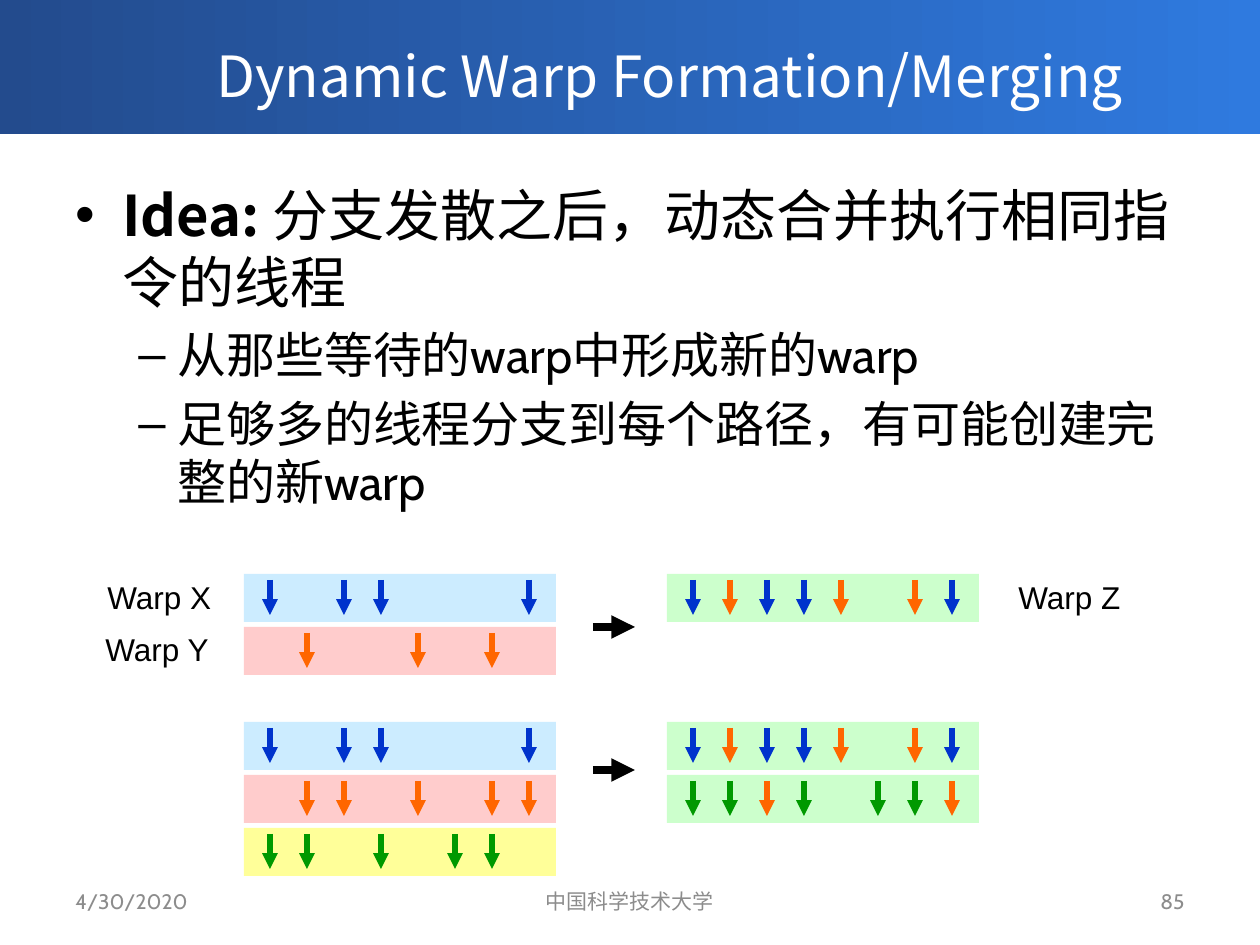
from lxml import etree
from pptx import Presentation
from pptx.dml.color import RGBColor
from pptx.enum.shapes import MSO_CONNECTOR as Connector, MSO_SHAPE as Shape
from pptx.enum.text import MSO_ANCHOR as Anchor, PP_ALIGN as Align
from pptx.oxml.ns import qn
from pptx.util import Pt

EMU_PER_PX = 914400 / 126

BLACK = RGBColor(0x00, 0x00, 0x00)
WHITE = RGBColor(0xFF, 0xFF, 0xFF)
GRAY = RGBColor(0x8C, 0x8C, 0x8C)
NAVY = RGBColor(0x23, 0x4B, 0x8D)
AZURE = RGBColor(0x2F, 0x7A, 0xDF)
BLUE = RGBColor(0x00, 0x33, 0xCC)
ORANGE = RGBColor(0xFF, 0x66, 0x00)
GREEN = RGBColor(0x00, 0x99, 0x00)
PALE_BLUE = RGBColor(0xCC, 0xEC, 0xFF)
PALE_RED = RGBColor(0xFF, 0xCC, 0xCC)
PALE_GREEN = RGBColor(0xCC, 0xFF, 0xCC)
PALE_YELLOW = RGBColor(0xFF, 0xFF, 0x99)

NOTO, CABIN, ARIAL = "Noto Sans CJK SC", "Cabin", "Arial"
THREADS = {"B": BLUE, "O": ORANGE, "G": GREEN}
LEFT_X, RIGHT_X = 244, 667
LANE_W, LANE_H, LANE_PITCH = 312, 48, 53
FIRST_SLOT, SLOT_PITCH = 26, 37


def px(length):
    return round(length * EMU_PER_PX)


class Painter:
    def __init__(self, page):
        self.page = page

    def rect(self, x, y, w, h, color, end_color=None):
        """A borderless rectangle, shaded left to right if end_color is given."""
        shape = self.page.shapes.add_shape(Shape.RECTANGLE, px(x), px(y), px(w), px(h))
        shape.shadow.inherit = False
        shape.line.fill.background()
        if end_color is None:
            shape.fill.solid()
            shape.fill.fore_color.rgb = color
            return
        shape.fill.gradient()
        shape.fill.gradient_angle = 0
        for stop, shade in zip(shape.fill.gradient_stops, (color, end_color)):
            stop.color.rgb = shade

    def arrow(self, x, y, dx, dy, color, width):
        line = self.page.shapes.add_connector(
            Connector.STRAIGHT, px(x), px(y), px(x + dx), px(y + dy))
        line.line.color.rgb = color
        line.line.width = Pt(width)
        etree.SubElement(line.line._get_or_add_ln(), qn("a:tailEnd"), type="triangle")
        etree.SubElement(line._element.spPr, qn("a:effectLst"))

    def box(self, x, y, w, h, anchor=Anchor.TOP, wrap=True):
        frame = self.page.shapes.add_textbox(px(x), px(y), px(w), px(h)).text_frame
        frame.word_wrap = wrap
        frame.vertical_anchor = anchor
        return frame

    def span(self, para, text, size, font, color=BLACK, bold=False):
        span = para.add_run()
        span.text = text
        span.font.size = Pt(size)
        span.font.bold = bold
        span.font.color.rgb = color
        span.font.name = font
        etree.SubElement(span.font._element, qn("a:ea"), typeface=NOTO)

    def label(self, x, y, w, h, text, size, font, color=BLACK, align=Align.LEFT,
              anchor=Anchor.MIDDLE, wrap=True):
        para = self.box(x, y, w, h, anchor, wrap).paragraphs[0]
        para.alignment = align
        self.span(para, text, size, font, color)

    def bullet(self, para, mark, indent, hang, level=0):
        para.level = level
        props = para._p.get_or_add_pPr()
        props.set("marL", str(px(indent)))
        props.set("indent", str(-px(hang)))
        etree.SubElement(props, qn("a:buFont"), typeface=ARIAL)
        etree.SubElement(props, qn("a:buChar"), char=mark)

    def lane(self, x, y, color, slots):
        """A warp: one character per slot, a dot where no thread runs."""
        self.rect(x, y, LANE_W, LANE_H, color)
        for index, thread in enumerate(slots):
            if thread in THREADS:
                self.arrow(x + FIRST_SLOT + index * SLOT_PITCH, y + 6, 0, 35,
                           THREADS[thread], 3)

    def merge(self, y, arrow_y, sources, results):
        for x, lanes in ((LEFT_X, sources), (RIGHT_X, results)):
            for row, (color, slots) in enumerate(lanes):
                self.lane(x, y + row * LANE_PITCH, color, slots)
        self.arrow(593, arrow_y, 42, 0, BLACK, 4.5)


def main():
    deck = Presentation()
    deck.slide_width, deck.slide_height = px(1260), px(945)
    painter = Painter(deck.slides.add_slide(deck.slide_layouts[6]))

    painter.rect(0, 0, 1260, 134, NAVY, AZURE)
    painter.label(142, 21, 1055, 108, "Dynamic Warp Formation/Merging", 32.4, NOTO,
                  WHITE, Align.CENTER)

    body = painter.box(63, 174, 1134, 329)
    idea = body.paragraphs[0]
    painter.bullet(idea, "•", 47, 47)
    painter.span(idea, "Idea: ", 32, NOTO, bold=True)
    painter.span(idea, "分支发散之后，动态合并执行相同指令的线程", 32, NOTO)
    for text in ("从那些等待的warp中形成新的warp",
                 "足够多的线程分支到每个路径，有可能创建完整的新warp"):
        para = body.add_paragraph()
        painter.bullet(para, "–", 102, 39, level=1)
        para.space_before = Pt(5.6)
        painter.span(para, text, 28, CABIN)

    for x, w, text, align in ((63, 294, "4/30/2020", Align.LEFT),
                              (430, 399, "中国科学技术大学", Align.CENTER),
                              (903, 294, "85", Align.RIGHT)):
        painter.label(x, 876, w, 50, text, 12, CABIN, GRAY, align)

    warp_x = (PALE_BLUE, "B.BB...B")
    warp_z = (PALE_GREEN, "BOBBO.OB")
    painter.merge(574, 627, [warp_x, (PALE_RED, ".O..O.O.")], [warp_z])
    painter.merge(722, 770,
                  [warp_x, (PALE_RED, ".OO.O.OO"), (PALE_YELLOW, "GG.G.GG.")],
                  [warp_z, (PALE_GREEN, "GGOG.GGO")])

    for x, y, text in ((95, 572, "Warp X"), (93, 624, "Warp Y"), (1006, 572, "Warp Z")):
        painter.label(x, y, 130, 50, text, 18, ARIAL, anchor=Anchor.TOP, wrap=False)

    deck.save("out.pptx")


if __name__ == "__main__":
    main()
